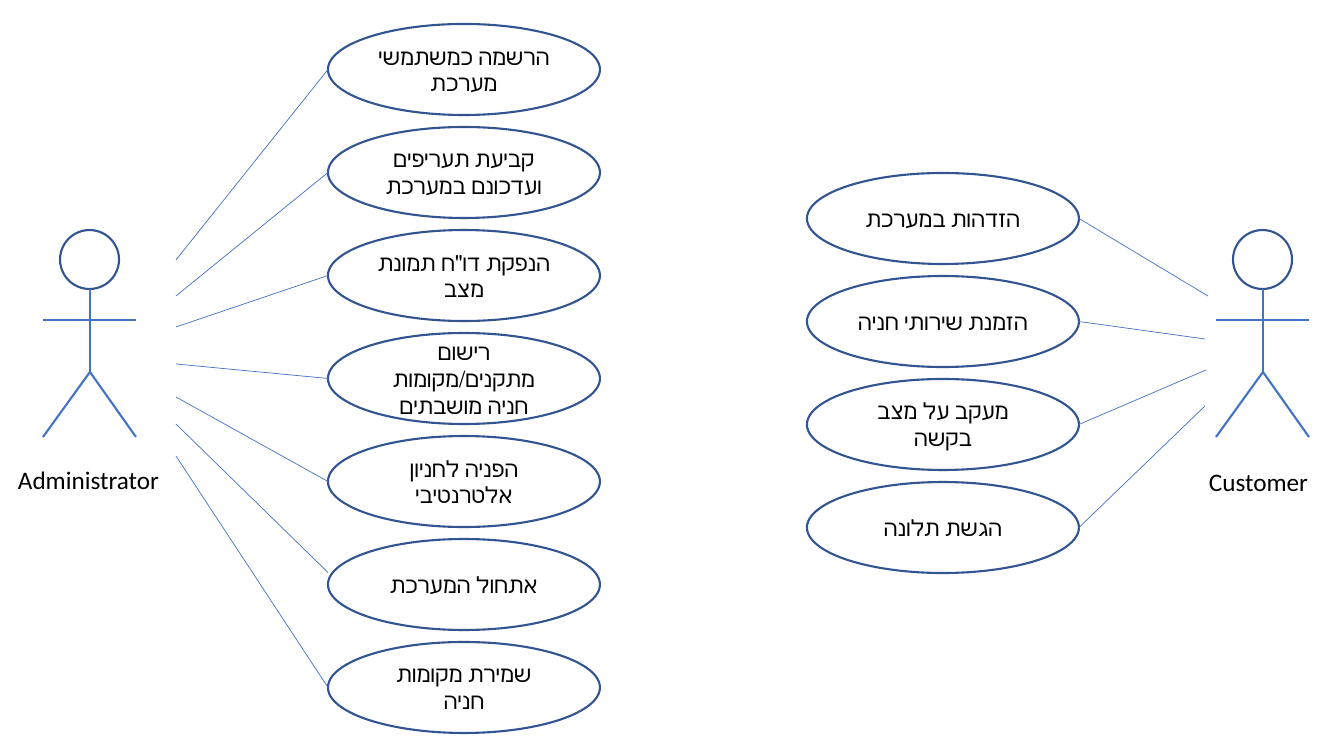
from pptx import Presentation
from pptx.dml.color import RGBColor
from pptx.enum.shapes import MSO_CONNECTOR, MSO_SHAPE
from pptx.enum.text import MSO_ANCHOR, MSO_AUTO_SIZE, PP_ALIGN
from pptx.oxml.ns import qn
from pptx.util import Pt
from lxml import etree

STRAIGHT = MSO_CONNECTOR.STRAIGHT
OVAL = MSO_SHAPE.OVAL
MIDDLE = MSO_ANCHOR.MIDDLE
CENTER = PP_ALIGN.CENTER
GROW = MSO_AUTO_SIZE.SHAPE_TO_FIT_TEXT
EMU_PER_PX = 914400 / 100.8
OUTLINE, STROKE, INK = "325491", "4472C4", "000000"
CASE_WIDTH, CASE_HEIGHT, CASE_STEP = 272, 91, 103

ADMIN_CASES = [
    ("הרשמה כמשתמשי מערכת", (176, 260), 0),
    ("קביעת תעריפים ועדכונם במערכת", (176, 296), 0),
    ("הנפקת דו\"ח תמונת מצב", (176, 327), 0),
    ("רישום מתקנים/מקומות חניה מושבתים", (176, 364), 0),
    ("הפניה לחניון אלטרנטיבי", (176, 397), 0),
    ("אתחול המערכת", (176, 424), -12),
    ("שמירת מקומות חניה", (176, 456), 0),
]
CUSTOMER_CASES = [
    ("הזדהות במערכת", (1208, 296), 0),
    ("הזמנת שירותי חניה", (1205, 339), 0),
    ("מעקב על מצב בקשה", (1206, 370), 0),
    ("הגשת תלונה", (1205, 406), 0),
]


def px(*lengths):
    """Convert picture pixels to EMU."""
    return [round(length * EMU_PER_PX) for length in lengths]


def color(hex_string):
    """Return the colour for a hex string."""
    return RGBColor.from_string(hex_string)


def write(shape, text, size):
    """Put one Calibri paragraph into a shape and return it."""
    shape.text_frame.word_wrap = True
    paragraph = shape.text_frame.paragraphs[0]
    paragraph.text = text
    paragraph.font.name = "Calibri"
    paragraph.font.size = Pt(size)
    paragraph.font.color.rgb = color(INK)
    return paragraph


def add_line(shapes, start, end, weight):
    """Draw a straight line without a shadow."""
    line = shapes.add_connector(STRAIGHT, *px(*start, *end))
    line.line.color.rgb = color(STROKE)
    line.line.width = Pt(weight)
    etree.SubElement(line._element.spPr, qn("a:effectLst"))


def add_oval(shapes, left, top, width, height):
    """Draw an unfilled outlined ellipse."""
    oval = shapes.add_shape(OVAL, *px(left, top, width, height))
    oval.shadow.inherit = False
    oval.fill.background()
    oval.line.color.rgb = color(OUTLINE)
    oval.line.width = Pt(1.5)
    return oval


def add_actor(shapes, center):
    """Draw a grouped stick figure around a vertical axis."""
    figure = shapes.add_group_shape().shapes
    add_oval(figure, center - 30, 230, 59, 59)
    hip = (center, 372)
    add_line(figure, (center, 289), hip, 1.5)
    for foot in (center - 47, center + 46):
        add_line(figure, hip, (foot, 437), 1.5)
    add_line(figure, (center - 47, 320), (center + 46, 320), 1.5)


def add_label(shapes, name, left, top, width):
    """Write an actor's name."""
    label = shapes.add_textbox(*px(left, top, width, 40))
    write(label, name, 18)
    label.text_frame.auto_size = GROW


def add_use_cases(shapes, cases, left, first_top, joint_x):
    """Stack use cases evenly and join each to its actor."""
    for row, (text, actor_end, joint_shift) in enumerate(cases):
        top = first_top + row * CASE_STEP
        use_case = add_oval(shapes, left, top, CASE_WIDTH, CASE_HEIGHT)
        use_case.text_frame.vertical_anchor = MIDDLE
        write(use_case, text, 16).alignment = CENTER
        joint = (joint_x, top + CASE_HEIGHT / 2 + joint_shift)
        add_line(shapes, actor_end, joint, 0.5)


def main():
    """Build the use case diagram."""
    deck = Presentation()
    deck.slide_width, deck.slide_height = px(1344, 756)
    shapes = deck.slides.add_slide(deck.slide_layouts[6]).shapes
    add_actor(shapes, 90)
    add_label(shapes, "Administrator", 8, 459, 164)
    add_use_cases(shapes, ADMIN_CASES, 328, 24, 328)
    add_actor(shapes, 1263)
    add_label(shapes, "Customer", 1199, 461, 128)
    add_use_cases(shapes, CUSTOMER_CASES, 807, 173, 807 + CASE_WIDTH)
    deck.save("out.pptx")


main()
